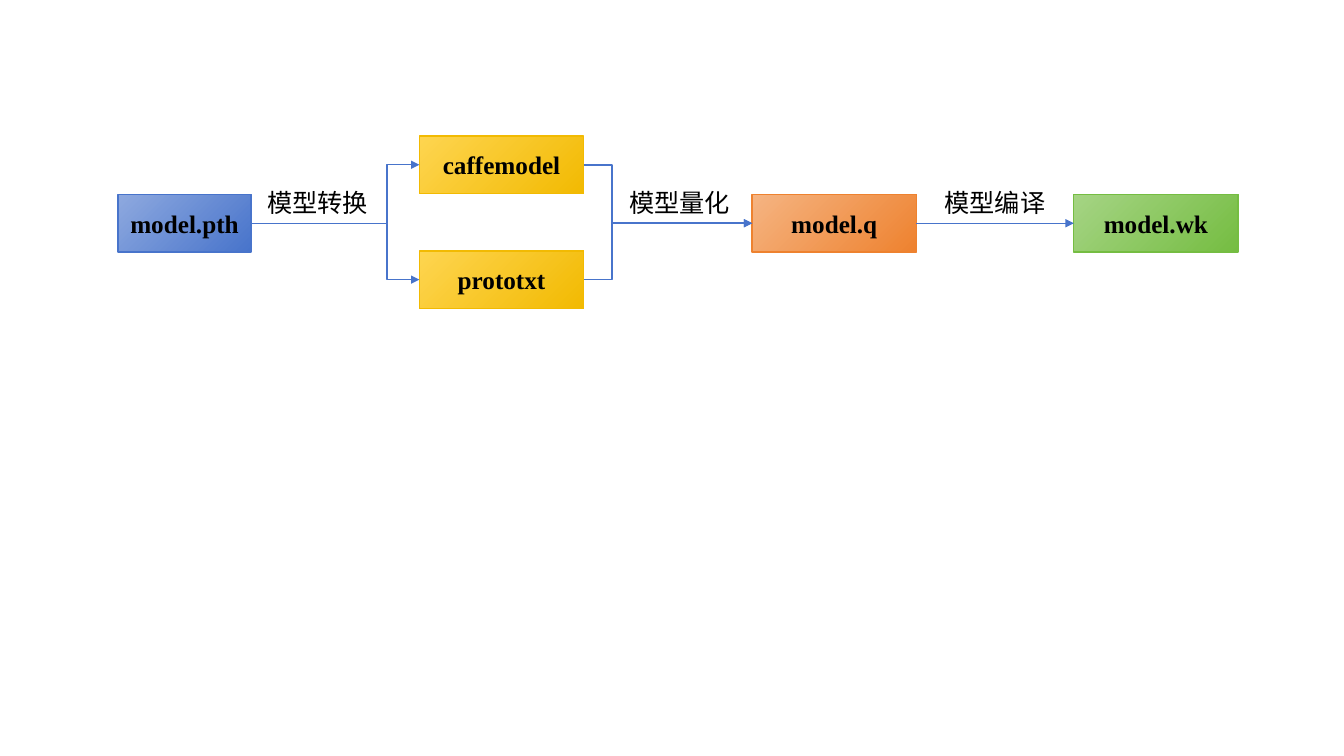
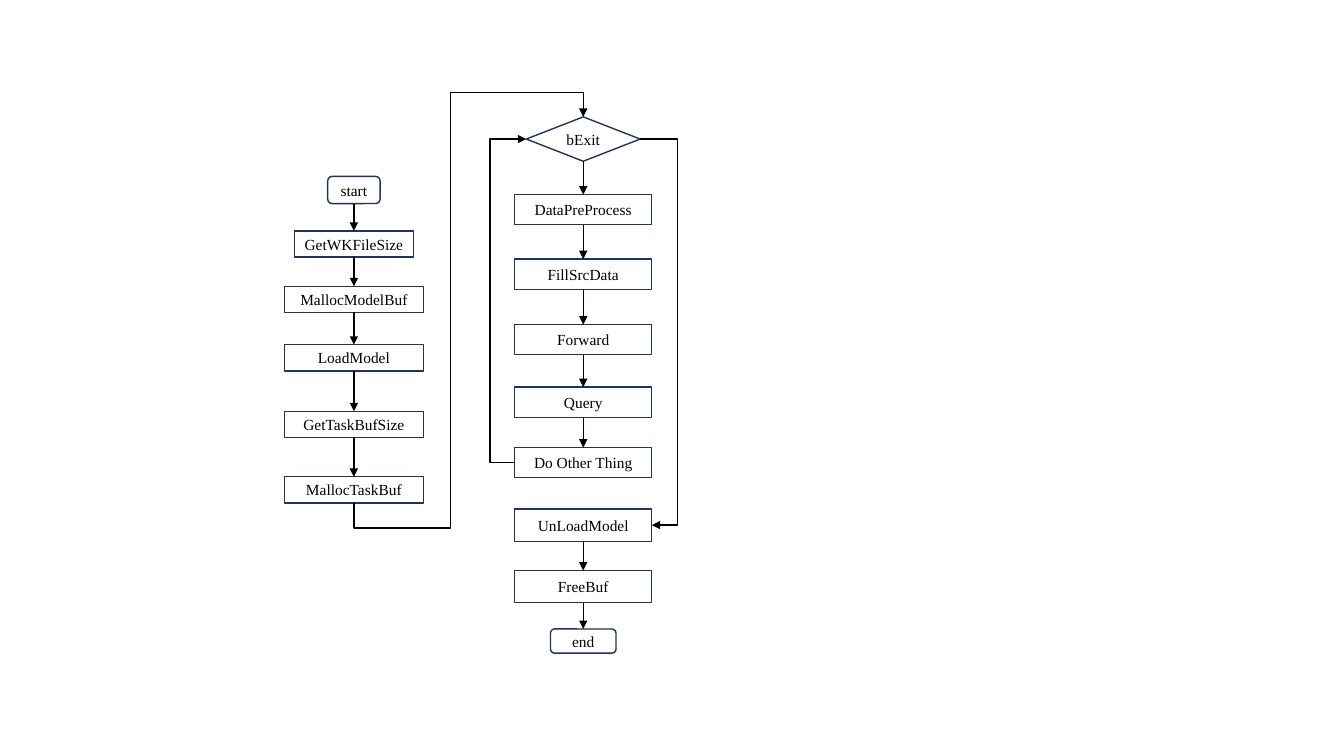
from itertools import pairwise

from lxml.etree import SubElement
from pptx import Presentation
from pptx.dml.color import RGBColor
from pptx.enum.shapes import MSO_CONNECTOR, MSO_SHAPE
from pptx.enum.text import MSO_ANCHOR, MSO_AUTO_SIZE, PP_ALIGN
from pptx.oxml.ns import qn
from pptx.util import Inches, Pt

SERIF = "Times New Roman"
SANS = "Calibri"
BLACK = "000000"
BLUE = ("8EA9DF", "4874CB")
YELLOW = ("FED550", "F2BA02")
ORANGE = ("F5B482", "EE822F")
GREEN = ("A5D484", "75BD42")
OUTLINE = "203359"
TOP, LEFT, BOTTOM, RIGHT = range(4)


def color(hex_value):
    return RGBColor.from_string(hex_value)


def write_text(shape, text, size, font_name, bold=False):
    paragraph = shape.text_frame.paragraphs[0]
    paragraph.text = text
    font = paragraph.runs[0].font
    font.size = Pt(size)
    font.name = font_name
    font.bold = bold
    font.color.rgb = color(BLACK)
    return paragraph


def add_node(slide, kind, text, left, top, width, height, line, size, bold=False):
    shape = slide.shapes.add_shape(
        kind, Inches(left), Inches(top), Inches(width), Inches(height)
    )
    shape.shadow.inherit = False
    shape.fill.background()
    shape.line.color.rgb = color(line)
    shape.line.width = Pt(1)
    frame = shape.text_frame
    frame.word_wrap = False
    frame.vertical_anchor = MSO_ANCHOR.MIDDLE
    frame.margin_left = frame.margin_right = 0
    frame.margin_top = frame.margin_bottom = 0
    write_text(shape, text, size, SERIF, bold).alignment = PP_ALIGN.CENTER
    return shape


def add_model_box(slide, text, left, top, shades, width=1.63):
    shape = add_node(
        slide, MSO_SHAPE.RECTANGLE, text, left, top, width, 0.57, shades[1], 18, True
    )
    shape.fill.gradient()
    shape.fill.gradient_angle = 315
    for stop, shade in zip(shape.fill.gradient_stops, shades):
        stop.color.rgb = color(shade)
    return shape


def add_step(slide, text, center, top, width, height, kind=MSO_SHAPE.RECTANGLE):
    return add_node(
        slide, kind, text, center - width / 2, top, width, height, OUTLINE, 11
    )


def add_label(slide, text, left):
    label = slide.shapes.add_textbox(
        Inches(left), Inches(1.81), Inches(1.21), Inches(0.4)
    )
    label.text_frame.word_wrap = False
    label.text_frame.auto_size = MSO_AUTO_SIZE.SHAPE_TO_FIT_TEXT
    write_text(label, text, 18, SANS)


def add_arrow(slide, start, start_site, end, end_site, line, kind=MSO_CONNECTOR.STRAIGHT):
    connector = slide.shapes.add_connector(kind, 0, 0, 0, 0)
    connector.begin_connect(start, start_site)
    connector.end_connect(end, end_site)
    connector.line.color.rgb = color(line)
    connector.line.width = Pt(1)
    properties = connector.element.spPr
    SubElement(properties.find(qn("a:ln")), qn("a:tailEnd"), type="triangle")
    SubElement(properties, qn("a:effectLst"))
    return connector


def set_bends(connector, preset, ratios):
    geometry = connector.element.spPr.find(qn("a:prstGeom"))
    geometry.set("prst", preset)
    adjustments = geometry.find(qn("a:avLst"))
    for number, ratio in enumerate(ratios, 1):
        SubElement(
            adjustments,
            qn("a:gd"),
            name=f"adj{number}",
            fmla=f"val {round(ratio * 100000)}",
        )


def add_elbow(slide, start, start_site, end, end_site, bend, line):
    connector = add_arrow(
        slide, start, start_site, end, end_site, line, MSO_CONNECTOR.ELBOW
    )
    span = connector.end_x - connector.begin_x
    set_bends(connector, "bentConnector3", [(Inches(bend) - connector.begin_x) / span])


def add_climb(slide, start, end, low, middle, high):
    connector = add_arrow(slide, start, BOTTOM, end, TOP, BLACK, MSO_CONNECTOR.ELBOW)
    begin_x, begin_y = connector.begin_x, connector.begin_y
    run, rise = connector.end_x - begin_x, connector.end_y - begin_y
    connector.width, connector.height = abs(rise), abs(run)
    connector.left = begin_x + (run - abs(rise)) // 2
    connector.top = begin_y + (rise - abs(run)) // 2
    connector.rotation = 90
    transform = connector.element.spPr.find(qn("a:xfrm"))
    transform.set("flipH", "1")
    transform.set("flipV", "1")
    set_bends(
        connector,
        "bentConnector5",
        [
            (Inches(low) - begin_y) / rise,
            (Inches(middle) - begin_x) / run,
            (Inches(high) - begin_y) / rise,
        ],
    )


def add_chain(slide, steps):
    for upper, lower in pairwise(steps):
        add_arrow(slide, upper, BOTTOM, lower, TOP, BLACK)


def build_conversion(slide):
    weights = add_model_box(slide, "caffemodel", 4.16, 1.35, YELLOW)
    network = add_model_box(slide, "prototxt", 4.16, 2.49, YELLOW)
    trained = add_model_box(slide, "model.pth", 1.17, 1.93, BLUE, 1.32)
    quantized = add_model_box(slide, "model.q", 7.46, 1.93, ORANGE)
    compiled = add_model_box(slide, "model.wk", 10.65, 1.93, GREEN)
    for converted in (weights, network):
        add_elbow(slide, trained, RIGHT, converted, LEFT, 3.84, BLUE[1])
        add_elbow(slide, converted, RIGHT, quantized, LEFT, 6.07, BLUE[1])
    add_arrow(slide, quantized, RIGHT, compiled, LEFT, BLUE[1])
    for text, left in (("模型转换", 2.55), ("模型量化", 6.14), ("模型编译", 9.27)):
        add_label(slide, text, left)


def build_inference(slide):
    setup_center, loop_center = 3.51, 5.785
    rounded = MSO_SHAPE.ROUNDED_RECTANGLE
    setup = [add_step(slide, "start", setup_center, 1.75, 0.52, 0.27, rounded)]
    for text, top, width in (
        ("GetWKFileSize", 2.29, 1.18),
        ("MallocModelBuf", 2.84, 1.38),
        ("LoadModel", 3.42, 1.38),
        ("GetTaskBufSize", 4.08, 1.38),
        ("MallocTaskBuf", 4.73, 1.38),
    ):
        setup.append(add_step(slide, text, setup_center, top, width, 0.26))

    decision = add_step(slide, "bExit", loop_center, 1.16, 1.13, 0.44, MSO_SHAPE.DIAMOND)
    loop = [decision]
    for text, top in (
        ("DataPreProcess", 1.93),
        ("FillSrcData", 2.57),
        ("Forward", 3.22),
        ("Query", 3.84),
        ("Do Other Thing", 4.44),
    ):
        loop.append(add_step(slide, text, loop_center, top, 1.36, 0.3))

    cleanup = [
        add_step(slide, text, loop_center, top, 1.36, 0.32)
        for text, top in (("UnLoadModel", 5.05), ("FreeBuf", 5.66))
    ]
    cleanup.append(add_step(slide, "end", loop_center, 6.24, 0.65, 0.24, rounded))

    for steps in (setup, loop, cleanup):
        add_chain(slide, steps)
    add_elbow(slide, decision, RIGHT, cleanup[0], RIGHT, 6.72, BLACK)
    add_elbow(slide, loop[-1], LEFT, decision, LEFT, 4.86, BLACK)
    add_climb(slide, setup[-1], decision, 5.24, 4.47, 0.92)


def main():
    presentation = Presentation()
    presentation.slide_width = Inches(13.33)
    presentation.slide_height = Inches(7.5)
    for build in (build_conversion, build_inference):
        build(presentation.slides.add_slide(presentation.slide_layouts[6]))
    presentation.save("out.pptx")


if __name__ == "__main__":
    main()
